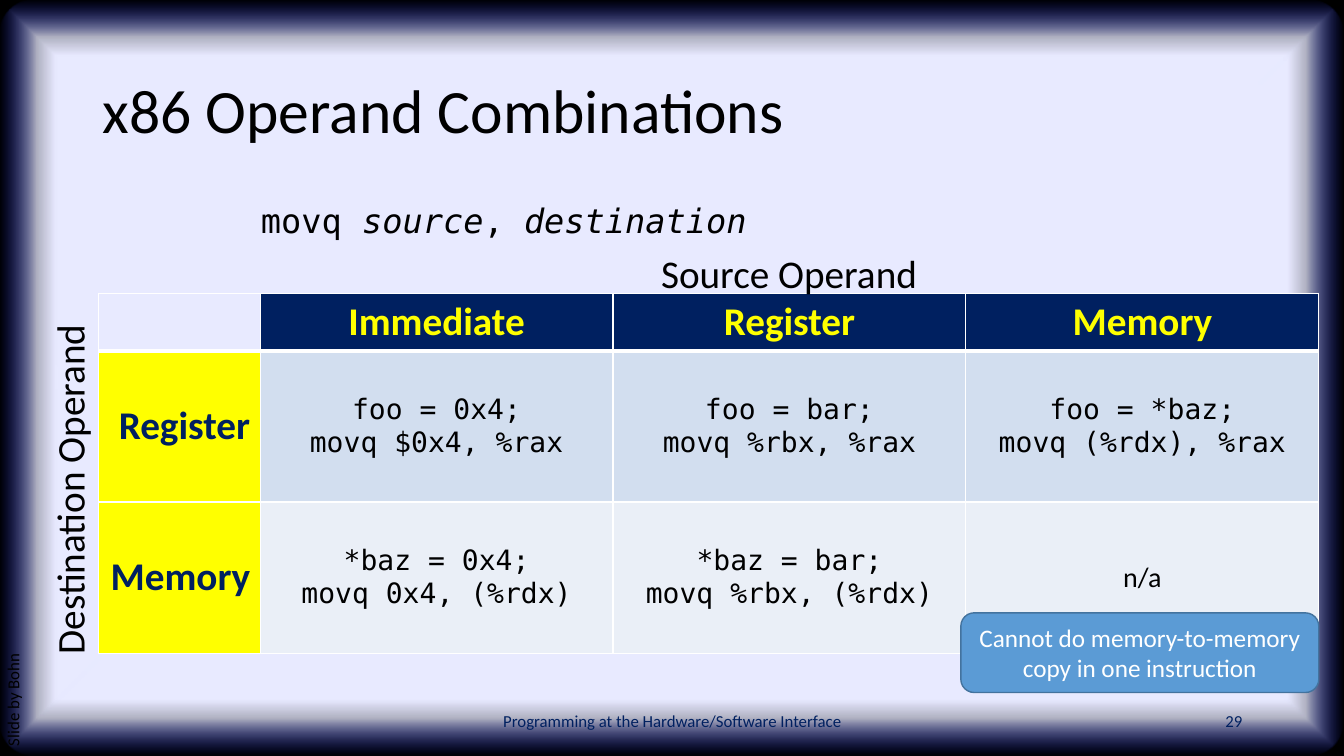
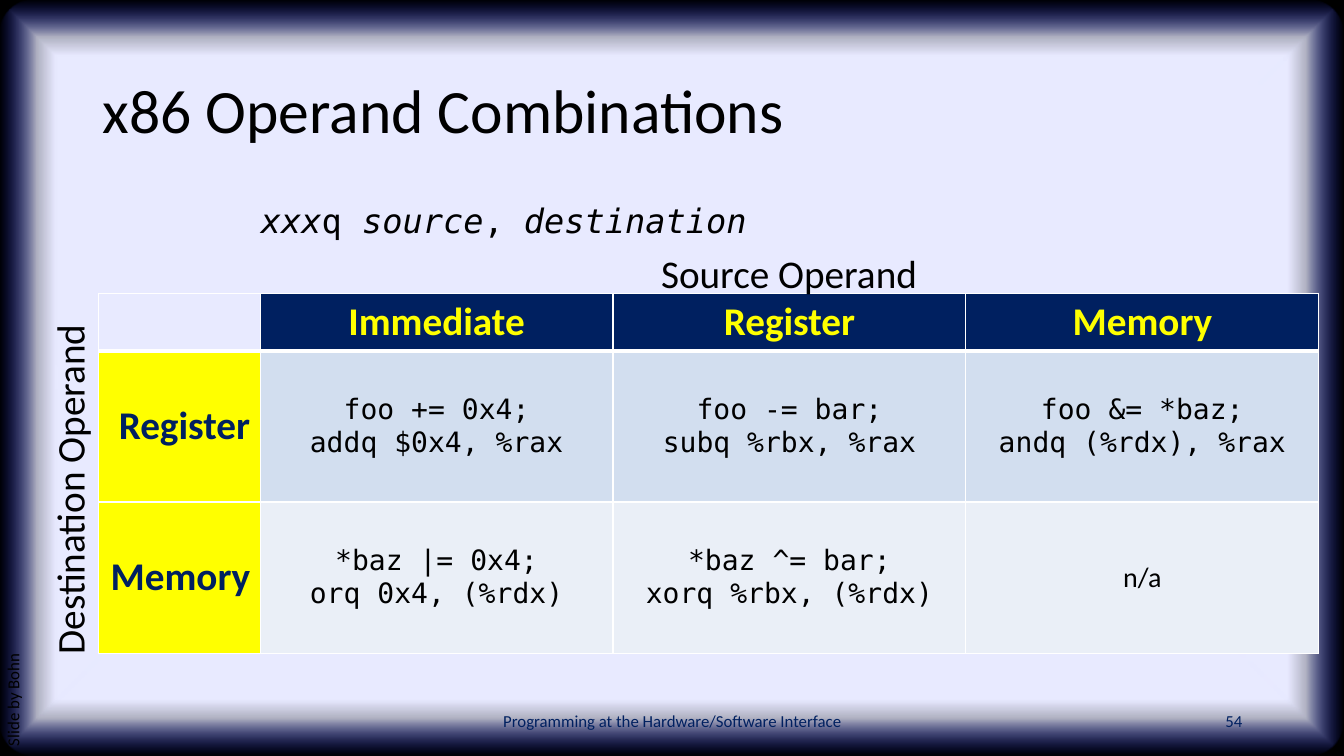
from lxml.etree import SubElement
from pptx import Presentation
from pptx.dml.color import RGBColor as RGB
from pptx.enum.shapes import MSO_SHAPE as Shape
from pptx.enum.text import MSO_ANCHOR as Anchor, MSO_AUTO_SIZE as Fit, PP_ALIGN as Align
from pptx.oxml import parse_xml
from pptx.oxml.ns import nsdecls, qn
from pptx.util import Inches, Pt

BLACK = RGB(0x00, 0x00, 0x00)
WHITE = RGB(0xFF, 0xFF, 0xFF)
NAVY = RGB(0x00, 0x20, 0x60)
YELLOW = RGB(0xFF, 0xFF, 0x00)
PALE = RGB(0xE8, 0xEA, 0xFF)
GLOW = RGB(0x16, 0x2A, 0xFF)
BANDS = RGB(0xD2, 0xDE, 0xEF), RGB(0xEA, 0xEF, 0xF7)
BLUE = RGB(0x5B, 0x9B, 0xD5)
EDGE = RGB(0x43, 0x73, 0x9E)

SANS, MONO = "Calibri", "DejaVu Sans Mono"
WIDE, HIGH = 13.33, 7.5
KINDS = "Immediate", "Register", "Memory"
COLS = 1.6, 3.5, 3.5, 3.5
ROWS = 0.57, 1.5, 1.5
STOPS = (85, PALE, 100), (90, PALE, 75), (100, GLOW, 0)


def glow():
    """Return a gradient fill that fades out towards the slide's edge."""
    stops = "".join(
        f'<a:gs pos="{pos * 1000}"><a:srgbClr val="{color}">'
        f'<a:alpha val="{alpha * 1000}"/></a:srgbClr></a:gs>'
        for pos, color, alpha in STOPS)
    return parse_xml(
        f'<a:gradFill {nsdecls("a")} rotWithShape="1"><a:gsLst>{stops}</a:gsLst>'
        '<a:path path="shape"><a:fillToRect l="50000" t="50000" r="50000" b="50000"/>'
        '</a:path></a:gradFill>')


def border(cell, **widths):
    """Draw white cell borders; the keys are L, R, T and B, in that order."""
    props = cell._tc.get_or_add_tcPr()
    for side, width in widths.items():
        line = SubElement(props, qn(f"a:ln{side}"), w=str(Pt(width)))
        fill = SubElement(line, qn("a:solidFill"))
        SubElement(fill, qn("a:srgbClr"), val=str(WHITE))


class Deck:
    def __init__(self):
        self.show = Presentation()
        self.show.slide_width, self.show.slide_height = Inches(WIDE), Inches(HIGH)
        self.slide = None

    def start(self, title, number):
        """Add a slide with its frame, title, footer and credit."""
        self.slide = self.show.slides.add_slide(self.show.slide_layouts[6])
        page = 0, 0, WIDE, HIGH
        self.shape(Shape.RECTANGLE, page, BLACK)
        panel = self.shape(Shape.ROUNDED_RECTANGLE, page)
        panel.adjustments[0] = 0.048
        props = panel._element.spPr
        props.replace(props.find(qn("a:noFill")), glow())
        self.text((0.92, 0.4, 11.5, 1.45), title, 44, mid=True, space=0.9)
        self.text((4.42, 6.95, 4.5, 0.4), "Programming at the Hardware/Software Interface",
                  12, NAVY, Align.CENTER, mid=True)
        self.text((9.42, 6.95, 3, 0.4), str(number), 12, NAVY, Align.RIGHT, mid=True)
        self.text((-2.44, 4.66, 5.28, 0.4), "Slide by Bohn", 12, turn=270, space=0.9)

    def put(self, frame, lines, size, color=BLACK, align=Align.LEFT,
            font=SANS, bold=False, space=None):
        """Fill a frame; a line is a string or a list of (text, italic) runs."""
        for i, line in enumerate(lines):
            para = frame.add_paragraph() if i else frame.paragraphs[0]
            para.alignment = align
            if space:
                para.line_spacing = space
            for words, slant in [(line, False)] if isinstance(line, str) else line:
                run = para.add_run()
                run.text = words
                face = run.font
                face.name, face.size = font, Pt(size)
                face.bold, face.italic = bold, slant
                face.color.rgb = color

    def text(self, area, line, size, color=BLACK, align=Align.LEFT, font=SANS,
             mid=False, turn=0, wrap=True, space=None):
        box = self.slide.shapes.add_textbox(*map(Inches, area))
        box.rotation = turn
        frame = box.text_frame
        frame.word_wrap = wrap
        if not wrap:
            frame.auto_size = Fit.SHAPE_TO_FIT_TEXT
        frame.vertical_anchor = Anchor.MIDDLE if mid else Anchor.TOP
        self.put(frame, [line], size, color, align, font, space=space)

    def shape(self, kind, area, fill=None, edge=None):
        item = self.slide.shapes.add_shape(kind, *map(Inches, area))
        item.shadow.inherit = False
        if fill is None:
            item.fill.background()
        else:
            item.fill.solid()
            item.fill.fore_color.rgb = fill
        if edge is None:
            item.line.fill.background()
        else:
            item.line.color.rgb = edge
            item.line.width = Pt(1)
        return item

    def note(self, area, line):
        item = self.shape(Shape.ROUNDED_RECTANGLE, area, BLUE, EDGE)
        frame = item.text_frame
        frame.word_wrap = True
        frame.vertical_anchor = Anchor.MIDDLE
        self.put(frame, [line], 18, WHITE, Align.CENTER)

    def cell(self, cell, lines, fill, anchor, **style):
        cell.fill.solid()
        cell.fill.fore_color.rgb = fill
        cell.vertical_anchor = anchor
        self.put(cell.text_frame, lines, **style)

    def grid(self, body):
        """Add the operand table; body maps each destination to its cells."""
        area = 0.98, 2.91, sum(COLS), sum(ROWS)
        table = self.slide.shapes.add_table(
            len(ROWS), len(COLS), *map(Inches, area)).table
        table.first_row = table.horz_banding = False
        for col, width in zip(table.columns, COLS):
            col.width = Inches(width)
        for r, height in enumerate(ROWS):
            table.rows[r].height = Inches(height)
            for c in range(len(COLS)):
                border(table.cell(r, c), L=1, R=1, T=3 if r == 1 else 1,
                       B=1 if r else 3)
        table.cell(0, 0).fill.background()
        for c, kind in enumerate(KINDS, 1):
            self.cell(table.cell(0, c), [kind], NAVY, Anchor.BOTTOM, size=28,
                      color=YELLOW, align=Align.CENTER, bold=True)
        for r, (kind, row) in enumerate(body.items(), 1):
            self.cell(table.cell(r, 0), [kind], YELLOW, Anchor.MIDDLE, size=28,
                      color=NAVY, align=Align.RIGHT, bold=True)
            for c, lines in enumerate(row, 1):
                self.cell(table.cell(r, c), lines, BANDS[r - 1], Anchor.MIDDLE,
                          size=20, align=Align.CENTER,
                          font=MONO if len(lines) > 1 else SANS)

    def combos(self, number, opcode, body):
        """Add one slide of operand combinations."""
        self.start("x86 Operand Combinations", number)
        self.grid(body)
        self.text((6.44, 2.42, 2.77, 0.57), "Source Operand", 28,
                  align=Align.CENTER, wrap=False)
        self.text((-1.07, 4.57, 3.51, 0.57), "Destination Operand", 28,
                  align=Align.CENTER, turn=270, wrap=False)
        syntax = opcode + [("source", True), (", ", False), ("destination", True)]
        self.text((2.49, 1.93, 5.08, 0.5), syntax, 24, font=MONO, wrap=False)


def main():
    deck = Deck()
    deck.combos(29, [("movq ", False)], {
        "Register": [("foo = 0x4;", "movq $0x4, %rax"),
                     ("foo = bar;", "movq %rbx, %rax"),
                     ("foo = *baz;", "movq (%rdx), %rax")],
        "Memory": [("*baz = 0x4;", "movq 0x4, (%rdx)"),
                   ("*baz = bar;", "movq %rbx, (%rdx)"),
                   ("n/a",)]})
    deck.note((9.53, 6.08, 3.55, 0.79),
              "Cannot do memory-to-memory copy in one instruction")
    deck.combos(54, [("xxx", True), ("q ", False)], {
        "Register": [("foo += 0x4;", "addq $0x4, %rax"),
                     ("foo -= bar;", "subq %rbx, %rax"),
                     ("foo &= *baz;", "andq (%rdx), %rax")],
        "Memory": [("*baz |= 0x4;", "orq 0x4, (%rdx)"),
                   ("*baz ^= bar;", "xorq %rbx, (%rdx)"),
                   ("n/a",)]})
    deck.show.save("out.pptx")


if __name__ == "__main__":
    main()
